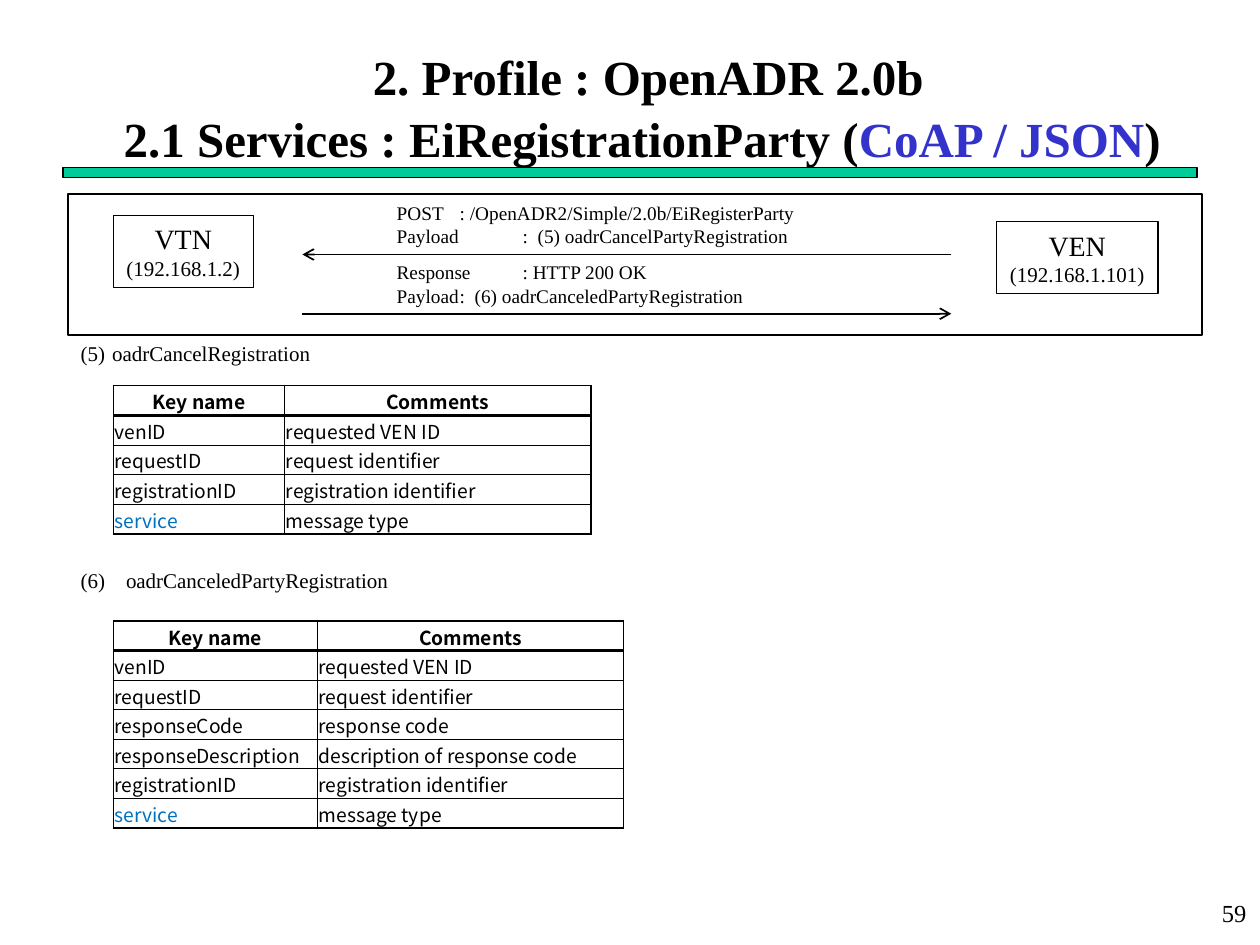
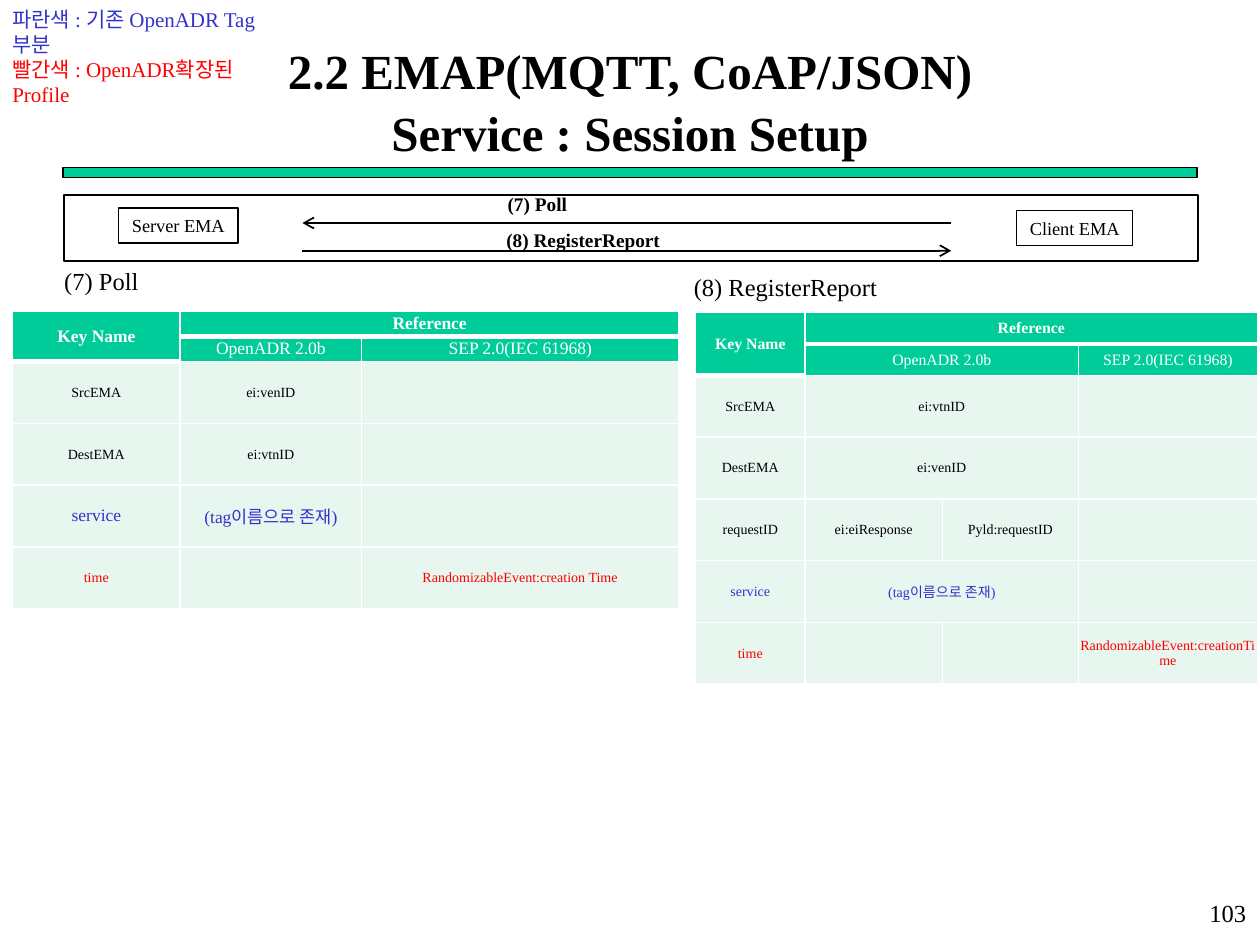
import pptx
import pptx.util
import pptx.dml.color
import pptx.enum.shapes
import pptx.enum.text
import pptx.oxml.ns
import lxml.etree

Pt = pptx.util.Pt
RGB = pptx.dml.color.RGBColor
ALIGN = pptx.enum.text.PP_ALIGN
ANCHOR = pptx.enum.text.MSO_ANCHOR
qn = pptx.oxml.ns.qn

BLACK = RGB(0x00, 0x00, 0x00)
WHITE = RGB(0xFF, 0xFF, 0xFF)
GREEN = RGB(0x00, 0xCC, 0x99)
MINT = RGB(0xE7, 0xF6, 0xEF)
BLUE = RGB(0x33, 0x33, 0xCC)
SKY = RGB(0x00, 0x70, 0xC0)
RED = RGB(0xFF, 0x00, 0x00)
SERIF = "Times New Roman"
SANS = "Noto Sans CJK KR"


def child(parent, tag, **attrs):
    """Append a drawing element with the given attributes."""
    return lxml.etree.SubElement(parent, qn(tag), attrs)


class Deck:
    """Hold the style and the current slide, on a grid of 100 columns by 75 rows."""

    def __init__(self):
        self.prs = pptx.Presentation()
        self.prs.slide_width = pptx.util.Inches(10)
        self.prs.slide_height = pptx.util.Inches(7.5)
        self.col = self.prs.slide_width / 100
        self.row = self.prs.slide_height / 75
        self.s = None

    def grid(self, x, y, w, h):
        """Turn columns and rows into slide lengths."""
        return [pptx.util.Emu(round(n * unit)) for n, unit in
                zip((x, y, w, h), (self.col, self.row) * 2)]

    def place(self, sp, at):
        """Move a placeholder to a place on the grid."""
        for name, value in zip(("left", "top", "width", "height"), self.grid(*at)):
            setattr(sp, name, value)

    def add_runs(self, tf, paragraphs, size, align=ALIGN.LEFT, color=BLACK,
                 bold=False, name=SERIF):
        """Fill a frame with paragraphs, each a string or a list of (text, colour) runs."""
        fmt = {"name": name, "size": Pt(size), "bold": bold}
        for i, runs in enumerate(paragraphs):
            p = tf.add_paragraph() if i else tf.paragraphs[0]
            p.alignment = align
            for text, rgb in [(runs, color)] if isinstance(runs, str) else runs:
                r = p.add_run()
                r.text = text
                for key, value in fmt.items():
                    setattr(r.font, key, value)
                r.font.color.rgb = rgb
                child(r.font._element, "a:ea", typeface=SANS)

    def start(self, layout, at, title, page):
        """Add a slide with its title, green band and page number."""
        self.s = self.prs.slides.add_slide(self.prs.slide_layouts[layout])
        self.rect((5, 13.3, 90, 0.8), GREEN)
        sp = self.s.shapes.title
        self.place(sp, at)
        tf = sp.text_frame
        tf.auto_size = pptx.enum.text.MSO_AUTO_SIZE.NONE
        tf.vertical_anchor = ANCHOR.MIDDLE
        self.add_runs(tf, title, 28, ALIGN.CENTER, bold=True)
        for p in tf.paragraphs:
            p.line_spacing = 1.05
            p.space_before = Pt(0)
        self.text((79.1, 70.8, 20.8, 4.2), [page], 14, align=ALIGN.RIGHT)

    def rect(self, at, fill=WHITE, weight=0.75):
        """Add an outlined rectangle."""
        sp = self.s.shapes.add_shape(pptx.enum.shapes.MSO_SHAPE.RECTANGLE, *self.grid(*at))
        sp.shadow.inherit = False
        sp.fill.solid()
        sp.fill.fore_color.rgb = fill
        sp.line.color.rgb = BLACK
        sp.line.width = Pt(weight)
        return sp

    def party(self, at, name, size, address=None):
        """Add a box that names one end of the exchange."""
        tf = self.rect(at).text_frame
        tf.word_wrap = False
        tf.vertical_anchor = ANCHOR.MIDDLE
        self.add_runs(tf, [name, address] if address else [name], size, ALIGN.CENTER)
        if address:
            tf.paragraphs[1].runs[0].font.size = Pt(12)

    def text(self, at, paragraphs, size, wrap=False, **style):
        """Add a text box."""
        tf = self.s.shapes.add_textbox(*self.grid(*at)).text_frame
        tf.word_wrap = wrap
        self.add_runs(tf, paragraphs, size, **style)

    def arrow(self, x1, x2, y):
        """Add a level arrow that points to x2."""
        x1, y, x2, _ = self.grid(x1, y, x2, y)
        sp = self.s.shapes.add_connector(pptx.enum.shapes.MSO_CONNECTOR.STRAIGHT, x1, y, x2, y)
        sp.line.color.rgb = BLACK
        sp.line.width = Pt(1)
        child(sp.line._get_or_add_ln(), "a:tailEnd", type="arrow")
        child(sp._element.spPr, "a:effectLst")

    def exchange(self, *ys):
        """Add the request arrow to the left and the reply arrow to the right."""
        self.arrow(75.5, 24, ys[0])
        self.arrow(24, 75.5, ys[1])

    def numbered(self, at, items, first, gap, indents):
        """Fill the body placeholder with a numbered list."""
        sp = self.s.placeholders[1]
        self.place(sp, at)
        tf = sp.text_frame
        tf.auto_size = pptx.enum.text.MSO_AUTO_SIZE.NONE
        self.add_runs(tf, items, 12)
        for i, (p, indent) in enumerate(zip(tf.paragraphs, indents)):
            p.line_spacing = 1.0
            p.space_before = Pt(gap if i else 0)
            margin = round(indent * self.col)
            pPr = p._p.get_or_add_pPr()
            pPr.set("marL", str(margin))
            pPr.set("indent", str(-margin))
            child(pPr, "a:buFont", typeface=SERIF)
            child(pPr, "a:buAutoNum", type="arabicParenBoth", startAt=str(first + i))

    def borders(self, cell, widths, color):
        """Draw the left, right, top and bottom borders of a cell."""
        tcPr = cell._tc.get_or_add_tcPr()
        for i, (side, width) in enumerate(zip("LRTB", widths)):
            ln = child(tcPr, "a:ln" + side, w=str(Pt(width)))
            child(child(ln, "a:solidFill"), "a:srgbClr", val=str(color))
            tcPr.insert(i, ln)

    def table(self, x, y, cols, heights, rows, style, merges=(), outer=1, inner=1,
              heavy=1, ruled=(), line=BLACK, margins=(0, 0, 0, 0)):
        """Add a table; style(r, c) gives the text style and fill of a cell."""
        tbl = self.s.shapes.add_table(
            len(rows), len(cols), *self.grid(x, y, sum(cols), sum(heights))).table
        tbl.first_row = tbl.horz_banding = False
        for column, w in zip(tbl.columns, cols):
            column.width = round(w * self.col)
        for row, h in zip(tbl.rows, heights):
            row.height = round(h * self.row)
        for r, c in ((r, c) for r in range(len(rows)) for c in range(len(cols))):
            cell = tbl.cell(r, c)
            cell.vertical_anchor = ANCHOR.MIDDLE
            for side, value in zip(("left", "right", "top", "bottom"), margins):
                setattr(cell, "margin_" + side, Pt(value))
            fmt, fill = style(r, c)
            if rows[r][c]:
                self.add_runs(cell.text_frame, [rows[r][c]], **fmt)
            else:
                end = cell.text_frame.paragraphs[0]._p.get_or_add_endParaRPr()
                end.set("sz", "800")
            if fill is None:
                cell.fill.background()
            else:
                cell.fill.solid()
                cell.fill.fore_color.rgb = fill
            left = outer if c == 0 else inner
            right = outer if c == len(cols) - 1 else inner
            top = heavy if (r - 1, c) in ruled else inner if r else outer
            bottom = heavy if (r, c) in ruled else outer if r == len(rows) - 1 else inner
            self.borders(cell, (left, right, top, bottom), line)
        for r1, c1, r2, c2 in merges:
            tbl.cell(r1, c1).merge(tbl.cell(r2, c2))

    def key_table(self, y, key_width, height, keys):
        """Add a table of message keys and comments."""
        rows = [("Key name", "Comments"), *keys, ("service", "message type")]

        def style(r, c):
            color = SKY if rows[r][c] == "service" else BLACK
            align = ALIGN.LEFT if r else ALIGN.CENTER
            return dict(size=11, name=SANS, bold=r == 0, align=align, color=color), None

        self.table(9, y, (key_width, 24.3), [height / len(rows)] * len(rows), rows, style,
                   inner=0.5, heavy=2, ruled={(0, 0), (0, 1)}, margins=(0.7, 0.7, 0.7, 0))

    def reference_table(self, x, y, cols, head_height, head_size, tag_size, body, merges=()):
        """Add a table that maps each key to its reference standards."""
        n = len(cols)
        blank = [""] * (n - 2)
        rows = [["Key Name", "Reference", *blank],
                ["", "OpenADR 2.0b", *blank[1:], "SEP 2.0(IEC 61968)"], *body]
        colors = {"service": BLUE, "time": RED}

        def style(r, c):
            if r < 2:
                return dict(size=head_size, bold=r == 0, color=WHITE, align=ALIGN.CENTER), GREEN
            key = rows[r][0]
            size = tag_size if key == "service" else 8
            return dict(size=size, color=colors.get(key, BLACK), align=ALIGN.CENTER), MINT

        self.table(x, y, cols, [head_height] * 2 + [4.9] * len(body), rows, style,
                   merges=[(0, 0, 1, 0), (0, 1, 0, n - 1), *merges], heavy=3, line=WHITE,
                   ruled={(0, c) for c in range(n)} | {(1, 0)})


def cancel_slide(d):
    """Build the slide on cancelling a registration."""
    d.start(1, (2.6, 3.8, 97.7, 9.2),
            ["2. Profile : OpenADR 2.0b",
             [("2.1 Services : EiRegistrationParty (", BLACK), ("CoAP / JSON", BLUE),
              (") ", BLACK)]], "59")
    d.numbered((5.4, 26.5, 69.1, 21.2),
               ["oadrCancelRegistration", "oadrCanceledPartyRegistration"], 5, 115.3, (2.5, 3.6))
    d.rect((5.4, 15.4, 90, 11.2), weight=1)
    d.party((79.1, 17.6, 12.8, 5.7), "VEN", 16, "(192.168.1.101)")
    d.party((9, 17.1, 11.1, 5.7), "VTN", 16, "(192.168.1.2)")
    d.exchange(20.2, 24.9)
    d.text((30.5, 15.5, 39.2, 4.7), ["POST \t: /OpenADR2/Simple/2.0b/EiRegisterParty",
                                     "Payload \t:  (5) oadrCancelPartyRegistration"], 11)
    d.text((30.5, 20.2, 34.7, 4.7), ["Response\t: HTTP 200 OK",
                                     "Payload\t:  (6) oadrCanceledPartyRegistration"], 11)
    ids = [("venID", "requested VEN ID"), ("requestID", "request identifier")]
    registration = ("registrationID", "registration identifier")
    d.key_table(30.6, 13.6, 11.8, [*ids, registration])
    d.key_table(49.3, 16.2, 16.4, [*ids, ("responseCode", "response code"),
                                   ("responseDescription", "description of response code"),
                                   registration])


def session_slide(d):
    """Build the slide on session setup."""
    d.start(5, (5, 3.3, 90, 9.2), ["2.2 EMAP(MQTT, CoAP/JSON)", "Service : Session Setup"], "103")
    d.rect((5.1, 15.5, 90, 5.2), weight=1)
    d.party((80.7, 16.7, 9.2, 2.8), "Client EMA", 10.5)
    d.party((9.4, 16.5, 9.5, 2.8), "Server EMA", 10.5)
    d.exchange(17.7, 19.9)
    d.text((39.2, 17.6, 14.7, 2.9), ["(8) RegisterReport"], 11, bold=True)
    d.text((39.3, 14.8, 6.8, 2.9), ["(7) Poll"], 11, bold=True)
    d.text((0, 0, 24, 5), [[("파란색 : 기존 OpenADR Tag 부분", BLUE)],
                           [("빨간색 : OpenADR확장된 Profile", RED)]], 12, wrap=True)
    d.text((4.1, 20.6, 7.9, 5.7), ["(7) Poll"], 14, align=ALIGN.CENTER)
    d.text((54, 21.1, 16.7, 5.7), ["(8) RegisterReport"], 14, align=ALIGN.CENTER)
    tag = "(tag이름으로 존재)"
    d.reference_table(1, 24.7, (13.3, 14.4, 25.2), 2, 10, 10,
                      [("SrcEMA", "ei:venID", ""), ("DestEMA", "ei:vtnID", ""),
                       ("service", tag, ""), ("time", "", "RandomizableEvent:creation Time")])
    d.reference_table(55.2, 24.8, (8.7, 10.9, 10.8, 14.2), 2.5, 9, 8,
                      [("SrcEMA", "ei:vtnID", "", ""), ("DestEMA", "ei:venID", "", ""),
                       ("requestID", "ei:eiResponse", "Pyld:requestID", ""),
                       ("service", tag, "", ""),
                       ("time", "", "", "RandomizableEvent:creationTime")],
                      [(r, 1, r, 2) for r in (1, 2, 3, 5)])


def main():
    """Build both slides and save them."""
    d = Deck()
    cancel_slide(d)
    session_slide(d)
    d.prs.save("out.pptx")


if __name__ == "__main__":
    main()
